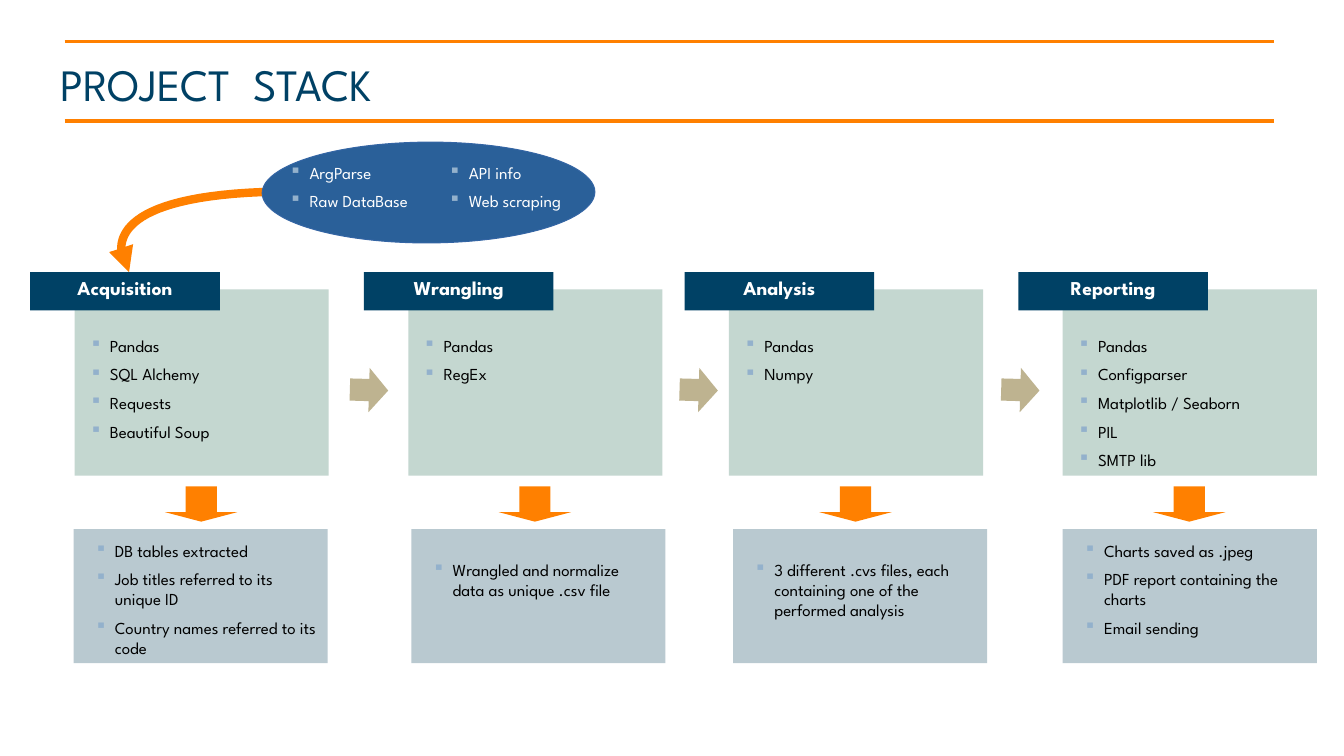
from dataclasses import dataclass

from lxml import etree
from pptx import Presentation
from pptx.dml.color import RGBColor
from pptx.enum.shapes import MSO_CONNECTOR, MSO_SHAPE
from pptx.enum.text import MSO_ANCHOR, PP_ALIGN
from pptx.oxml.ns import qn
from pptx.util import Inches, Pt

FONT = "League Spartan"
ORANGE = RGBColor(0xFF, 0x80, 0x00)
NAVY = RGBColor(0x00, 0x41, 0x65)
SAGE = RGBColor(0xC4, 0xD7, 0xD0)
MIST = RGBColor(0xB9, 0xC9, 0xD0)
SAND = RGBColor(0xBE, 0xB3, 0x90)
BLUE = RGBColor(0x2A, 0x60, 0x99)
OUTLINE = RGBColor(0x34, 0x65, 0xA4)
BULLET = RGBColor(0x93, 0xB1, 0xCC)
WHITE = RGBColor(0xFF, 0xFF, 0xFF)
BLACK = RGBColor(0x00, 0x00, 0x00)

PANEL_W = 2.52
STAGE_TOP = 2.7


@dataclass
class Stage:
    left: float
    name: str
    tools: list
    output_left: float
    output_text_top: float
    outputs: list
    next_arrow_left: float = 0


STAGES = [
    Stage(0.3, "Acquisition", ["Pandas", "SQL Alchemy", "Requests", "Beautiful Soup"],
          0.73, 0.11,
          ["DB tables extracted", "Job titles referred to its unique ID",
           "Country names referred to its code"], 3.47),
    Stage(3.61, "Wrangling", ["Pandas", "RegEx"],
          4.08, 0.3, ["Wrangled and normalize data as unique .csv file"], 6.74),
    Stage(6.79, "Analysis", ["Pandas", "Numpy"],
          7.27, 0.3,
          ["3 different .cvs files, each containing one of the performed analysis"], 9.93),
    Stage(10.1, "Reporting",
          ["Pandas", "Configparser", "Matplotlib / Seaborn", "PIL", "SMTP lib"],
          10.54, 0.11,
          ["Charts saved as .jpeg", "PDF report containing the charts", "Email sending"]),
]


def box(*lengths):
    return [Inches(length) for length in lengths]


def set_font(paragraph, size, color, bold=False):
    font = paragraph.font
    font.name, font.size, font.bold = FONT, Pt(size), bold
    font.color.rgb = color


def add_block(slide, kind, place, color, rotation=0, adjust=()):
    block = slide.shapes.add_shape(kind, *box(*place))
    block.shadow.inherit = False
    block.fill.solid()
    block.fill.fore_color.rgb = color
    block.line.fill.background()
    block.rotation = rotation
    for index, value in enumerate(adjust):
        block.adjustments[index] = value
    return block


def add_frame(slide, place):
    frame = slide.shapes.add_textbox(*box(*place)).text_frame
    frame.word_wrap = True
    frame.margin_left = frame.margin_right = frame.margin_top = frame.margin_bottom = 0
    return frame


def add_bullets(slide, place, items, color=BLACK):
    frame = add_frame(slide, place)
    for index, item in enumerate(items):
        paragraph = frame.paragraphs[0] if index == 0 else frame.add_paragraph()
        paragraph.text = item
        paragraph.level = 2
        paragraph.space_after = Pt(6)
        props = paragraph._p.get_or_add_pPr()
        props.set("marL", str(Inches(0.79)))
        props.set("indent", str(Inches(-0.2)))
        bullet_color = etree.SubElement(props, qn("a:buClr"))
        etree.SubElement(bullet_color, qn("a:srgbClr"), val=str(BULLET))
        etree.SubElement(props, qn("a:buChar"), char="▪")
        set_font(paragraph, 12, color)


def add_title(slide, left, top, width, height):
    # Title between two rules
    frame = add_frame(slide, (left - 0.04, top + 0.08, width - 0.18, 0.74))
    frame.vertical_anchor = MSO_ANCHOR.MIDDLE
    title = frame.paragraphs[0]
    title.text = "PROJECT  STACK"
    title.line_spacing = 0.9
    set_font(title, 32, NAVY)
    for y in (top, top + height):
        rule = slide.shapes.add_connector(
            MSO_CONNECTOR.STRAIGHT, *box(left, y, left + width, y))
        rule.line.color.rgb = ORANGE
        rule.line.width = Pt(2.25)
        etree.SubElement(rule._element.spPr, qn("a:effectLst"))


def add_feed_arrow(slide, start, bend, end, steps=40):
    # Curve from the sources to the first stage, bending towards one control point
    points = []
    for step in range(steps + 1):
        t = step / steps
        weights = ((1 - t) ** 3, 3 * t * (1 - t) ** 2, t * t * (3 - 2 * t))
        points.append(tuple(
            Inches(sum(w * point[axis] for w, point in zip(weights, (start, bend, end))))
            for axis in (0, 1)))
    builder = slide.shapes.build_freeform(*points[0])
    builder.add_line_segments(points[1:], close=False)
    curve = builder.convert_to_shape()
    curve.shadow.inherit = False
    curve.fill.background()
    curve.line.color.rgb = ORANGE
    curve.line.width = Pt(6)
    etree.SubElement(curve.line._get_or_add_ln(), qn("a:tailEnd"), type="triangle")


def add_sources(slide, left, top, width, height):
    # Ellipse with two lists of inputs
    ellipse = add_block(slide, MSO_SHAPE.OVAL, (left, top, width, height), BLUE, -0.2)
    ellipse.line.color.rgb = OUTLINE
    ellipse.line.width = Pt(0)
    columns = [["ArgParse", "Raw DataBase"], ["API info", "Web scraping"]]
    for index, items in enumerate(columns):
        add_bullets(slide, (left - 0.32 + index * 1.58, top + 0.2, 2.3, 1.22), items, WHITE)


def add_stage(slide, stage, top):
    left = stage.left
    # Tools panel with its heading
    add_block(slide, MSO_SHAPE.RECTANGLE, (left + 0.44, top + 0.17, PANEL_W, 1.85), SAGE)
    heading = add_block(slide, MSO_SHAPE.RECTANGLE, (left, top, 1.88, 0.38), NAVY)
    frame = heading.text_frame
    frame.margin_left = frame.margin_right = Inches(0.04)
    frame.margin_top = frame.margin_bottom = Inches(0.04)
    frame.vertical_anchor = MSO_ANCHOR.TOP
    name = frame.paragraphs[0]
    name.text = stage.name
    name.alignment = PP_ALIGN.CENTER
    set_font(name, 14, WHITE, bold=True)
    add_bullets(slide, (left, top + 0.63, 2.88, 1.4), stage.tools)
    # Output panel
    output_top = top + 2.55
    add_block(slide, MSO_SHAPE.RECTANGLE,
              (stage.output_left, output_top, PANEL_W, 1.33), MIST)
    add_bullets(slide, (stage.output_left - 0.38, output_top + stage.output_text_top,
                        2.8, 1.22), stage.outputs)
    # Arrows to the output and to the next stage
    add_block(slide, MSO_SHAPE.RIGHT_ARROW, (left + 1.52, top + 1.94, 0.35, 0.72),
              ORANGE, 90, (0.43, 0.27))
    if stage.next_arrow_left:
        add_block(slide, MSO_SHAPE.RIGHT_ARROW,
                  (stage.next_arrow_left, top + 0.95, 0.38, 0.44), SAND, 1.6)


def main():
    deck = Presentation()
    deck.slide_width, deck.slide_height = box(13.33, 7.5)
    slide = deck.slides.add_slide(deck.slide_layouts[6])
    add_feed_arrow(slide, (2.92, 1.9), (0.66, 1.9), (1.28, STAGE_TOP))
    add_title(slide, 0.64, 0.41, 12, 0.79)
    for stage in STAGES:
        add_stage(slide, stage, STAGE_TOP)
    add_sources(slide, 2.6, 1.41, 3.3, 1)
    deck.save("out.pptx")


if __name__ == "__main__":
    main()
